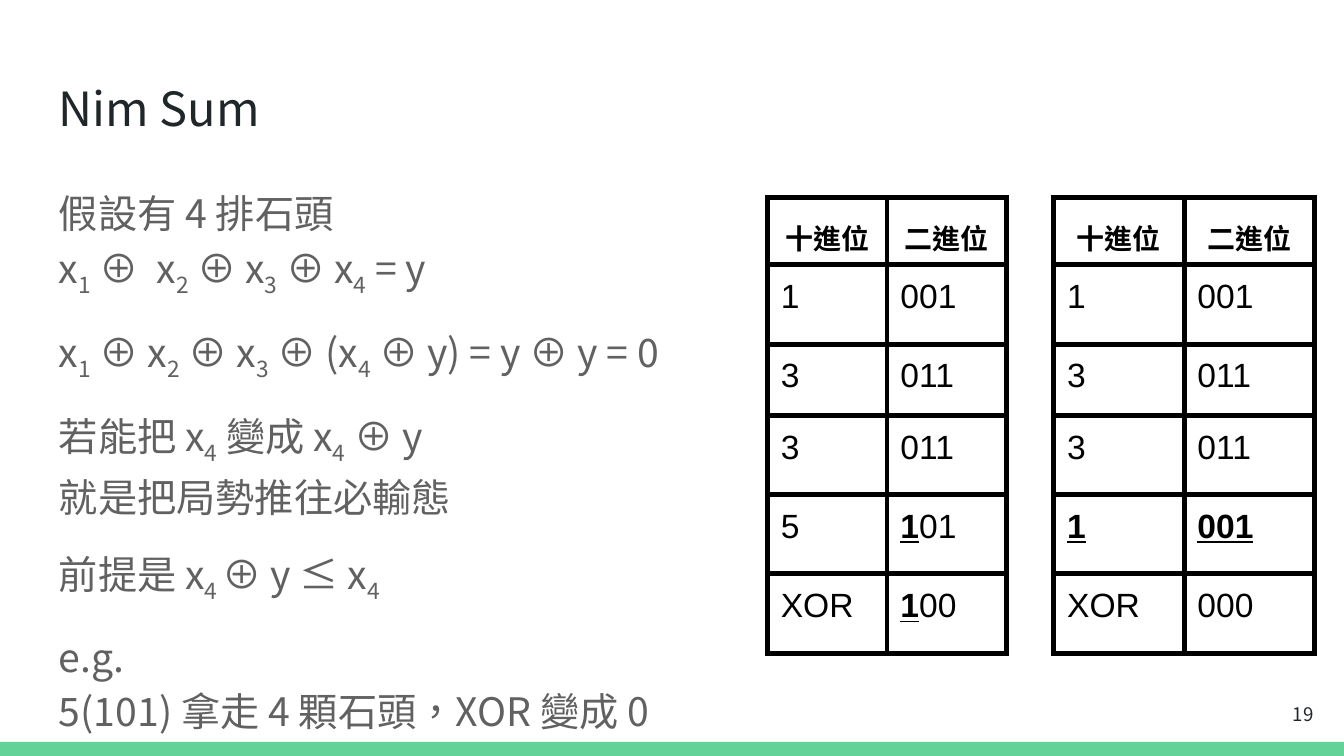
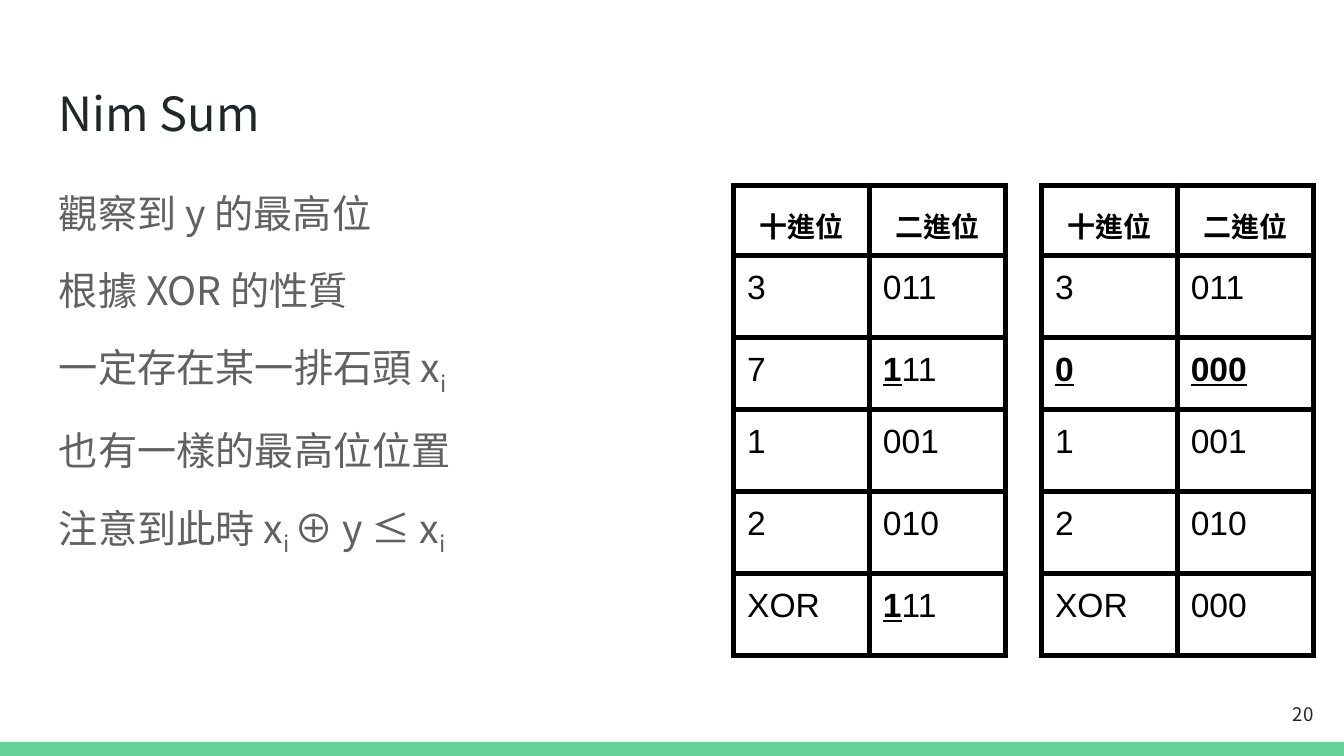
from pptx import Presentation
from pptx.dml.color import RGBColor
from pptx.enum.lang import MSO_LANGUAGE_ID
from pptx.enum.shapes import MSO_SHAPE
from pptx.enum.text import MSO_ANCHOR, PP_ALIGN
from pptx.oxml import parse_xml
from pptx.oxml.ns import nsdecls
from pptx.util import Inches, Pt

COLORS = {"band": "63D297", "title": "202729", "body": "616161", "grid": "000000"}
SANS = "Noto Sans CJK TC"
PAD = Inches(0.1)
HEAD = ("十進位", "二進位")


def write(par, text, size, font, color, bold=False, sub=False):
    for i, part in enumerate(text.split("|")):
        mark = i % 2 == 1
        for j, line in enumerate(part.split("\n")):
            if j:
                par.add_line_break()
            if not line:
                continue
            run = par.add_run()
            run.text = line
            run.font.size = Pt(size)
            run.font.bold = bold or (mark and not sub)
            run.font.underline = mark and not sub
            run.font.color.rgb = RGBColor.from_string(COLORS[color])
            run.font.name = font
            run.font.language_id = MSO_LANGUAGE_ID.TRADITIONAL_CHINESE
            props = run.font._element
            props.append(parse_xml(f'<a:ea {nsdecls("a")} typeface="{SANS}"/>'))
            if mark and sub:
                props.set("baseline", "-25000")


def add_box(slide, x, y, w, h):
    frame = slide.shapes.add_textbox(Inches(x), Inches(y), Inches(w), Inches(h)).text_frame
    frame.word_wrap = True
    frame.margin_left = frame.margin_right = PAD
    frame.margin_top = frame.margin_bottom = PAD
    return frame


pages = [
    {
        "num": "19",
        "top": 0.49,
        "high": 4.17,
        "gaps": [0, 0, 12, 12, 12, 12],
        "body": [
            "假設有 4 排石頭",
            "x|1| ⊕  x|2| ⊕ x|3| ⊕ x|4| = y",
            "x|1| ⊕ x|2| ⊕ x|3| ⊕ (x|4| ⊕ y) = y ⊕ y = 0",
            "若能把 x|4| 變成 x|4| ⊕ y\n就是把局勢推往必輸態",
            "前提是 x|4 |⊕ y ≤ x|4|",
            "e.g. \n5(101) 拿走 4 顆石頭，XOR 變成 0",
        ],
        "grid": 1.47,
        "rows": [0.5, 0.59, 0.53, 0.59, 0.59, 0.59],
        "tables": [
            (5.71, 0.89, [("1", "001"), ("3", "011"), ("3", "011"),
                          ("5", "|1|01"), ("XOR", "|1|00")]),
            (7.84, 0.97, [("1", "001"), ("3", "011"), ("3", "011"),
                          ("|1|", "|001|"), ("XOR", "000")]),
        ],
    },
    {
        "num": "20",
        "top": 0.53,
        "high": 3.74,
        "gaps": [12] * 5,
        "body": [
            "觀察到 y 的最高位",
            "根據 XOR 的性質",
            "一定存在某一排石頭 x|i|",
            "也有一樣的最高位位置",
            "注意到此時 x|i |⊕ y ≤ x|i|",
        ],
        "grid": 1.38,
        "rows": [0.52, 0.61, 0.54, 0.61, 0.61, 0.61],
        "tables": [
            (5.46, 1.01, [("3", "011"), ("7", "|1|11"), ("1", "001"),
                          ("2", "010"), ("XOR", "|1|11")]),
            (7.75, 1.01, [("3", "011"), ("|0|", "|000|"), ("1", "001"),
                          ("2", "010"), ("XOR", "000")]),
        ],
    },
]

prs = Presentation()
prs.slide_width = Inches(10)
prs.slide_height = Inches(10) * 9 // 16

for page in pages:
    slide = prs.slides.add_slide(prs.slide_layouts[6])

    band = slide.shapes.add_shape(
        MSO_SHAPE.RECTANGLE, Inches(0), Inches(5.52), Inches(10), Inches(0.11))
    band.shadow.inherit = False
    band.fill.solid()
    band.fill.fore_color.rgb = RGBColor.from_string(COLORS["band"])
    band.line.fill.background()

    title = add_box(slide, 0.34, page["top"], 9.32, 0.63)
    write(title.paragraphs[0], "Nim Sum", 25.2, SANS, "title")

    body = add_box(slide, 0.34, 1.26, 9.32, page["high"])
    for i, (text, gap) in enumerate(zip(page["body"], page["gaps"])):
        par = body.add_paragraph() if i else body.paragraphs[0]
        par.line_spacing = 1.15
        par.space_before = Pt(gap)
        write(par, text, 21, SANS, "body", sub=True)

    for left, wide, data in page["tables"]:
        table = slide.shapes.add_table(
            6, 2, Inches(left), Inches(page["grid"]),
            Inches(2 * wide), Inches(sum(page["rows"]))).table
        table.first_row = False
        table.horz_banding = False
        for col in table.columns:
            col.width = Inches(wide)
        for r, texts in enumerate([HEAD] + data):
            table.rows[r].height = Inches(page["rows"][r])
            for c, text in enumerate(texts):
                cell = table.cell(r, c)
                cell.margin_left = cell.margin_right = PAD
                cell.margin_top = cell.margin_bottom = PAD
                props = cell._tc.get_or_add_tcPr()
                for side in "LRTB":
                    props.append(parse_xml(
                        f'<a:ln{side} {nsdecls("a")} w="{Pt(3)}"><a:solidFill>'
                        f'<a:srgbClr val="{COLORS["grid"]}"/></a:solidFill></a:ln{side}>'))
                cell.fill.background()
                par = cell.text_frame.paragraphs[0]
                if r == 0:
                    par.alignment = PP_ALIGN.CENTER
                    par.line_spacing = 1.15
                write(par, text, 18 if r else 15, "Arial", "grid", bold=r == 0)

    foot = add_box(slide, 9.27, 5.1, 0.6, 0.43)
    foot.vertical_anchor = MSO_ANCHOR.MIDDLE
    foot.paragraphs[0].alignment = PP_ALIGN.RIGHT
    write(foot.paragraphs[0], page["num"], 10, SANS, "title")

prs.save("out.pptx")
